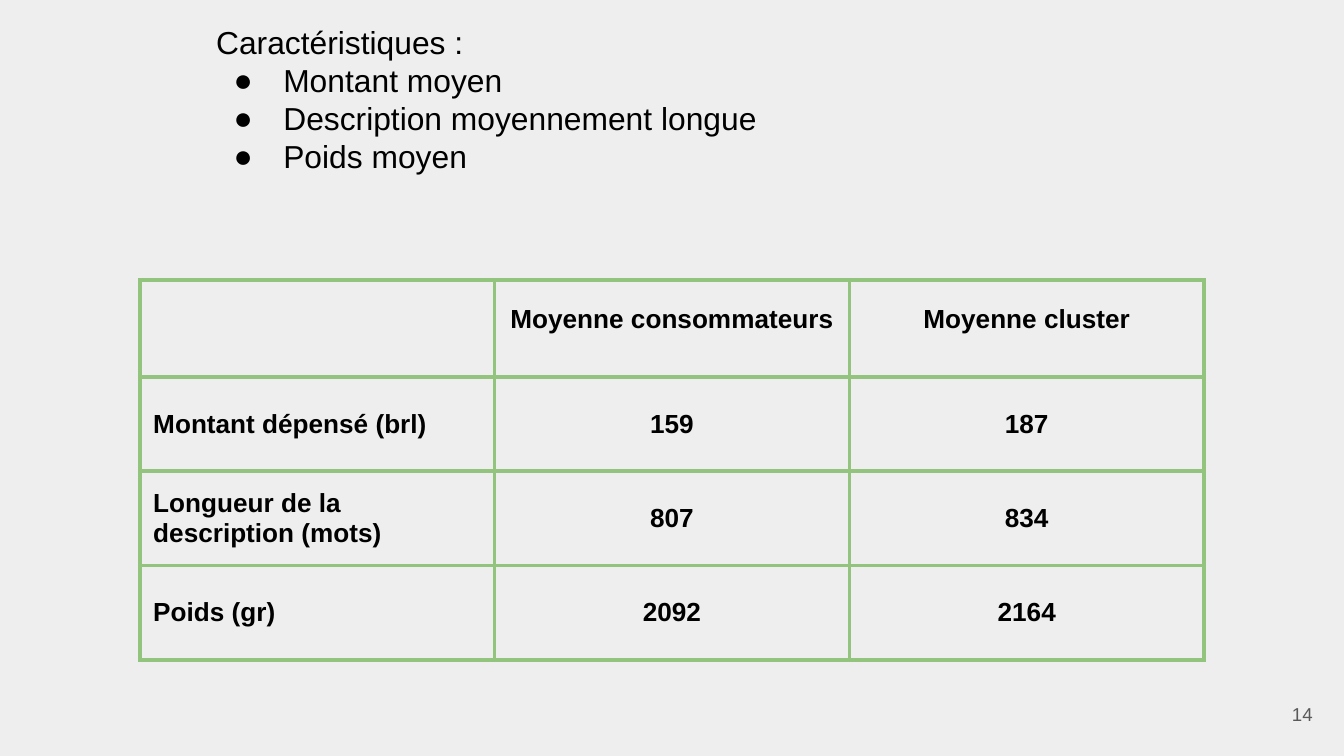
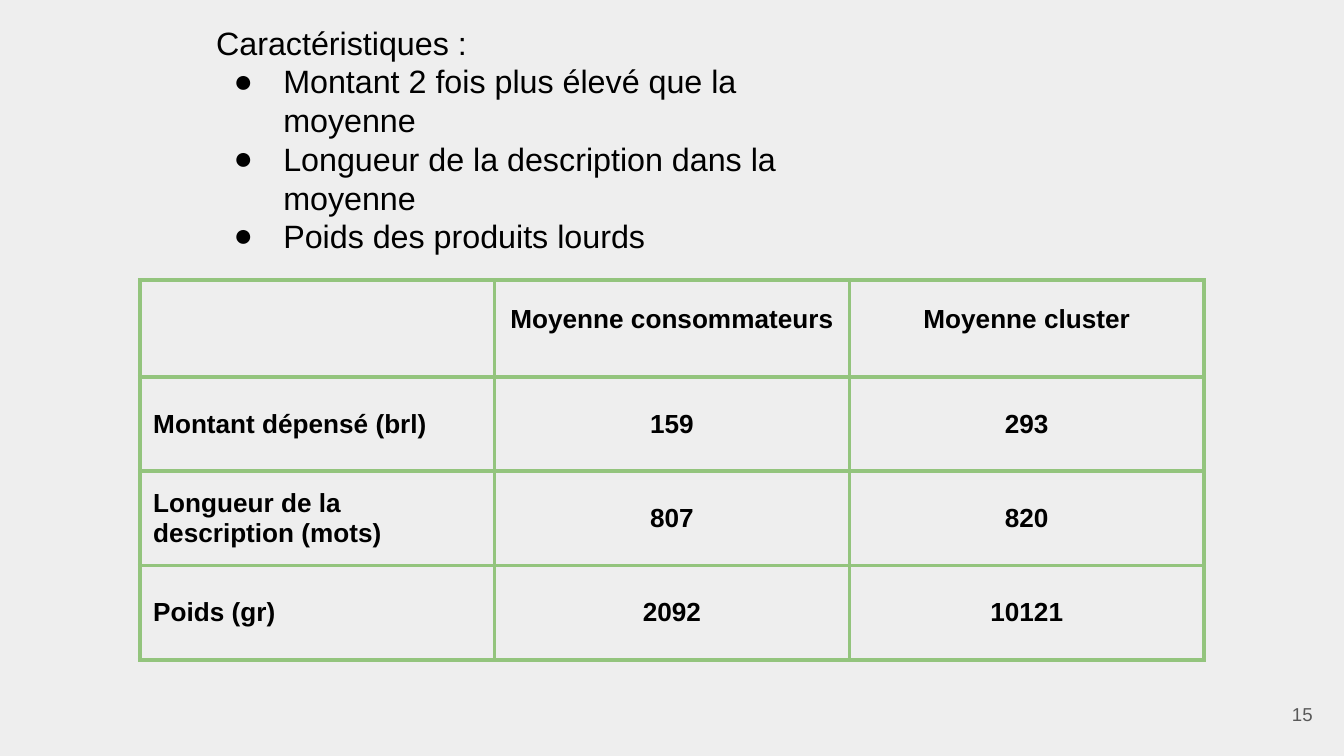
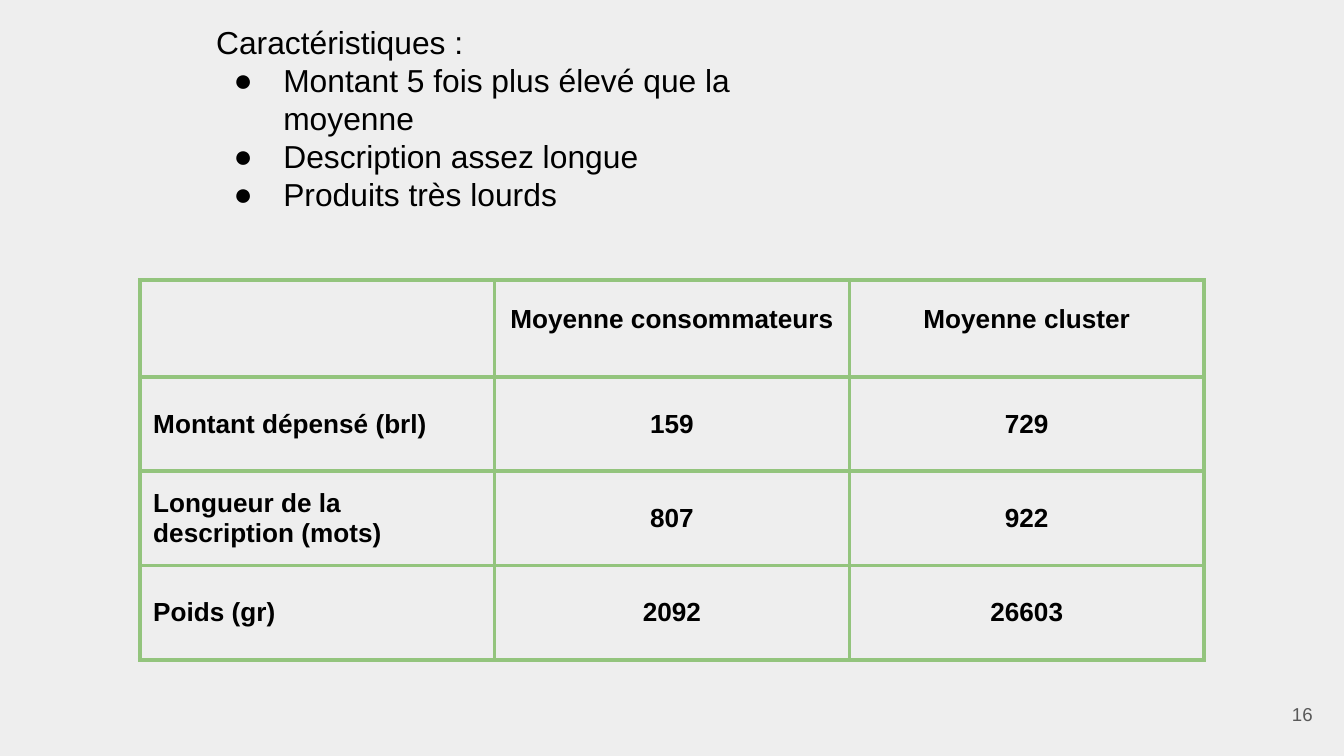
from dataclasses import dataclass

from lxml.etree import SubElement
from pptx import Presentation
from pptx.dml.color import RGBColor
from pptx.enum.text import MSO_ANCHOR as Anchor, PP_ALIGN as Align
from pptx.oxml.ns import qn
from pptx.util import Emu, Inches, Pt

# Shared look
FONT = "Arial"
BACKGROUND = RGBColor(0xEE, 0xEE, 0xEE)
BLACK = RGBColor(0x00, 0x00, 0x00)
GREY = RGBColor(0x59, 0x59, 0x59)
GREEN = RGBColor(0x93, 0xC4, 0x7D)
INSET = Inches(0.1)
BORDER = Pt(2.25)

# Page grid: 16:9 slide, 100 columns by 56.25 rows
SLIDE_W = Inches(10)
SLIDE_H = Emu(SLIDE_W * 9 // 16)
COL, ROW = SLIDE_W / 100, SLIDE_H / 56.25


@dataclass(frozen=True)
class Box:
    col: float
    row: float
    cols: float
    rows: float

    def emu(self) -> tuple:
        return (Emu(round(self.col * COL)), Emu(round(self.row * ROW)),
                Emu(round(self.cols * COL)), Emu(round(self.rows * ROW)))


@dataclass(frozen=True)
class Cluster:
    number: int
    traits: tuple
    means: tuple
    size: float = 17


TRAITS_BOX = Box(15.1, 0.7, 47, 18.4)
NUMBER_BOX = Box(92.65, 51, 6, 4.3)
TABLE_BOX = Box(10.4, 20.83, 79.2, 28.1)

# Content
HEADING = "Caractéristiques :"
HEADERS = ("", "Moyenne consommateurs", "Moyenne cluster")
LABELS = ("Montant dépensé (brl)", "Longueur de la description (mots)", "Poids (gr)")
CONSUMER_MEANS = (159, 807, 2092)
CLUSTERS = (
    Cluster(14, ("Montant moyen", "Description moyennement longue", "Poids moyen"),
            (187, 834, 2164)),
    Cluster(15, ("Montant 2 fois plus élevé que la moyenne",
                 "Longueur de la description dans la moyenne",
                 "Poids des produits lourds"),
            (293, 820, 10121), size=17.3),
    Cluster(16, ("Montant 5 fois plus élevé que la moyenne", "Description assez longue",
                 "Produits très lourds"),
            (729, 922, 26603)),
)


def set_margins(target, **changes) -> None:
    sides = dict.fromkeys(("left", "top", "right", "bottom"), INSET) | changes
    for side, value in sides.items():
        setattr(target, f"margin_{side}", value)


def write(p, text: str, size: float, color: RGBColor = BLACK, bold: bool = False) -> None:
    r = p.add_run()
    r.text = text
    for name, value in {"name": FONT, "size": Pt(size), "bold": bold}.items():
        setattr(r.font, name, value)
    r.font.color.rgb = color


def add_text_box(slide, box: Box, anchor=Anchor.TOP):
    tf = slide.shapes.add_textbox(*box.emu()).text_frame
    tf.word_wrap = True
    tf.vertical_anchor = anchor
    set_margins(tf)
    return tf


def add_color(parent, color: RGBColor) -> None:
    SubElement(parent, qn("a:srgbClr"), val=str(color))


def add_bullet(p) -> None:
    pPr = p._p.get_or_add_pPr()
    pPr.set("marL", str(Inches(0.5)))
    pPr.set("indent", str(-Inches(0.37)))
    add_color(SubElement(pPr, qn("a:buClr")), BLACK)
    SubElement(pPr, qn("a:buFont"), typeface=FONT)
    SubElement(pPr, qn("a:buChar"), char="●")


def add_borders(cell) -> None:
    tcPr = cell._tc.get_or_add_tcPr()
    for side in "LRTB":
        ln = SubElement(tcPr, qn(f"a:ln{side}"), w=str(BORDER))
        add_color(SubElement(ln, qn("a:solidFill")), GREEN)


def add_traits(slide, cluster: Cluster) -> None:
    tf = add_text_box(slide, TRAITS_BOX)
    for i, text in enumerate((HEADING, *cluster.traits)):
        p = tf.add_paragraph() if i else tf.paragraphs[0]
        p.line_spacing = 1.0
        if i:
            add_bullet(p)
        write(p, text, cluster.size)


def add_page_number(slide, number: int) -> None:
    p = add_text_box(slide, NUMBER_BOX, Anchor.MIDDLE).paragraphs[0]
    p.alignment = Align.RIGHT
    write(p, str(number), 10, GREY)


def add_means_table(slide, means: tuple) -> None:
    rows = (HEADERS, *zip(LABELS, CONSUMER_MEANS, means))
    table = slide.shapes.add_table(len(rows), len(HEADERS), *TABLE_BOX.emu()).table
    table.first_row = table.horz_banding = False
    for i, row in enumerate(rows):
        for j, value in enumerate(row):
            cell = table.cell(i, j)
            add_borders(cell)
            cell.fill.background()
            if i:
                set_margins(cell)
                cell.vertical_anchor = Anchor.MIDDLE
            else:  # headers sit a little above the middle
                set_margins(cell, bottom=Inches(0.32))
                cell.vertical_anchor = Anchor.BOTTOM
            if value != "":
                p = cell.text_frame.paragraphs[0]
                p.alignment = Align.CENTER if j else Align.LEFT
                write(p, str(value), 14, bold=True)


def main() -> None:
    prs = Presentation()
    prs.slide_width, prs.slide_height = SLIDE_W, SLIDE_H
    fill = prs.slide_master.background.fill
    fill.solid()
    fill.fore_color.rgb = BACKGROUND
    for cluster in CLUSTERS:
        slide = prs.slides.add_slide(prs.slide_layouts[6])
        add_traits(slide, cluster)
        add_page_number(slide, cluster.number)
        add_means_table(slide, cluster.means)
    prs.save("out.pptx")


if __name__ == "__main__":
    main()
